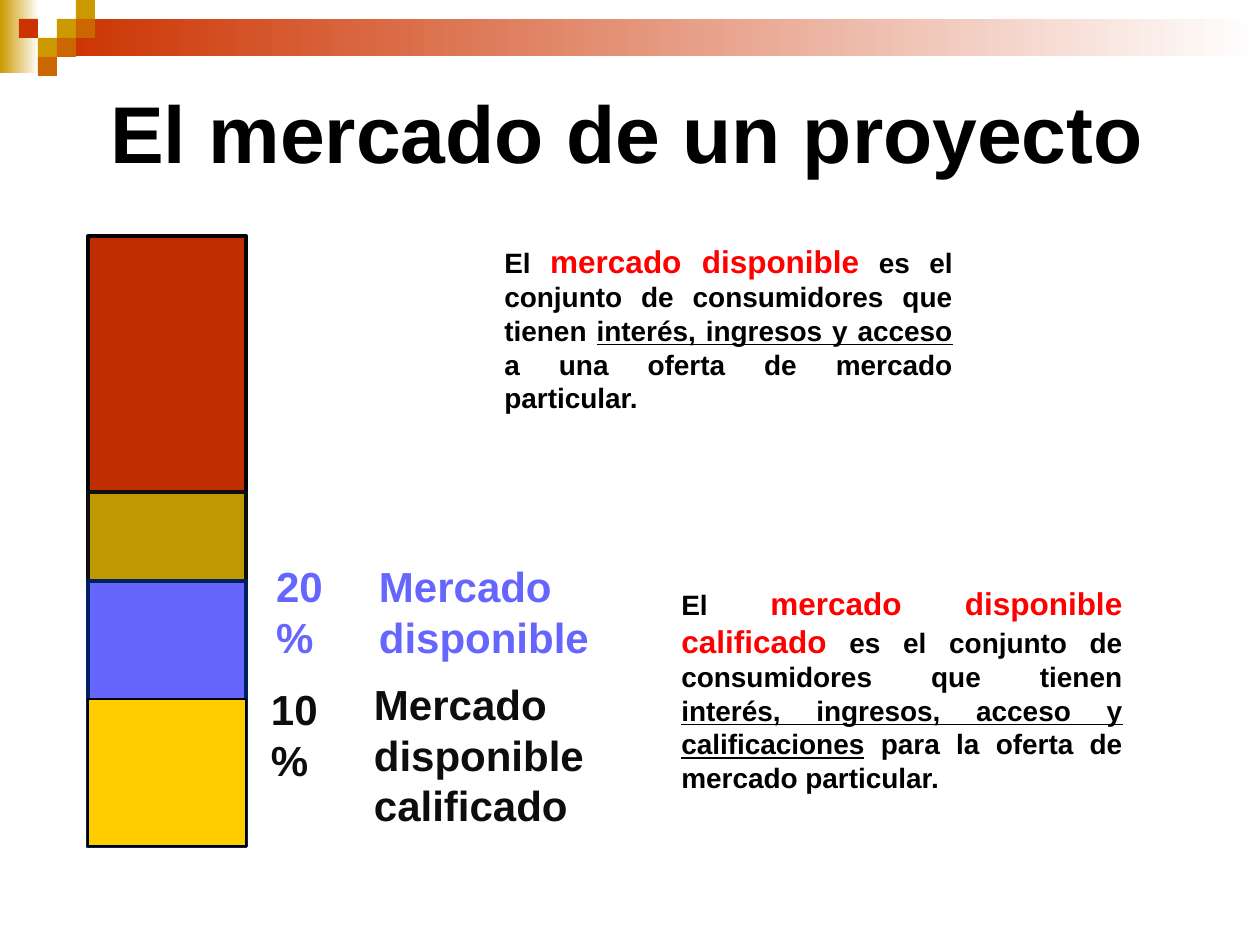
from pptx import Presentation
from pptx import util as u
from pptx.dml.color import RGBColor
from pptx.enum import shapes, text

SCALE = 914400 / 126  # EMU per px
COLORS = {
    "black": "000000", "ink": "0D0D0D", "white": "FFFFFF", "red": "FF0000",
    "brick": "CC3300", "gold": "CC9900", "rust": "CC6600",
    "total": "C02E00", "ochre": "BF9900", "blue": "6666FF",
    "navy": "002060", "yellow": "FFCC00",
}


def px(n):
    return u.Emu(round(n * SCALE))


def rgb(name):
    return RGBColor.from_string(COLORS[name])


class Deck:
    font = "Arial"

    def __init__(self, wide, high):
        self.prs = Presentation()
        self.prs.slide_width, self.prs.slide_height = px(wide), px(high)
        self.slide = self.prs.slides.add_slide(self.prs.slide_layouts[6])

    def rect(self, x, y, w, h, fill, line=None, width=0):
        box = self.slide.shapes.add_shape(
            shapes.MSO_SHAPE.RECTANGLE, px(x), px(y), px(w), px(h))
        box.shadow.inherit = False
        box.fill.solid()
        box.fill.fore_color.rgb = rgb(fill)
        if line:
            box.line.color.rgb = rgb(line)
            box.line.width = u.Pt(width)
        else:
            box.line.fill.background()
        return box

    def fade(self, x, y, w, h, start):
        fill = self.rect(x, y, w, h, start).fill
        fill.gradient()
        fill.gradient_angle = 0
        for stop, name, pos in zip(fill.gradient_stops, (start, "white"), (0, 1)):
            stop.color.rgb = rgb(name)
            stop.position = pos

    def words(self, x, y, w, h, paras, wrap=False, inset=True, align=None):
        """Each paragraph is a list of runs: (words, size, color, underline)."""
        frame = self.slide.shapes.add_textbox(px(x), px(y), px(w), px(h)).text_frame
        frame.word_wrap = wrap
        frame.auto_size = text.MSO_AUTO_SIZE.SHAPE_TO_FIT_TEXT
        if not inset:
            frame.margin_left = frame.margin_right = 0
            frame.margin_top = frame.margin_bottom = 0
        for i, runs in enumerate(paras):
            para = frame.add_paragraph() if i else frame.paragraphs[0]
            para.alignment = align
            for words, size, color, under in runs:
                run = para.add_run()
                run.text = words
                font = run.font
                font.name, font.size, font.bold = self.font, u.Pt(size), True
                font.color.rgb = rgb(color)
                if under:
                    font.underline = True

    def label(self, x, y, w, h, lines, color):
        self.words(x, y, w, h, [[(line, 24, color, False)] for line in lines],
                   inset=False)

    def define(self, x, y, w, h, term, middle, traits, end):
        runs = [("El ", 16, "black", False), (term, 18, "red", False),
                (middle, 16, "black", False), (traits, 16, "black", True),
                (end, 16, "black", False)]
        self.words(x, y, w, h, [runs], wrap=True, align=text.PP_ALIGN.JUSTIFY)


def main():
    deck = Deck(1260, 945)

    # Header band and its mosaic of squares
    deck.fade(0, 0, 39, 73, "gold")
    deck.fade(57, 19, 1203, 37, "brick")
    cell = 19
    for col, row, fill in [(3, 1, "gold"), (4, 0, "gold"), (4, 1, "rust"),
                           (2, 2, "gold"), (1, 1, "brick"), (3, 2, "rust"),
                           (2, 3, "rust")]:
        deck.rect(col * cell, row * cell, cell, cell, fill)

    # Title
    deck.words(98, 77, 1070, 111,
               [[("El mercado de un proyecto", 46, "black", False)]])

    # Market column: each part covers the lower end of the one before
    base = 846
    for top, fill, line, width in [(236, "total", "black", 2.25),
                                   (492, "ochre", "ink", 2.25),
                                   (581, "blue", "navy", 2.25),
                                   (699, "yellow", "black", 0.75)]:
        deck.rect(88, top, 158, base - top, fill, line, width)

    # Shares and their names
    deck.label(276, 561, 84, 50, ["20%"], "blue")
    deck.label(379, 561, 212, 102, ["Mercado", "disponible"], "blue")
    deck.label(271, 684, 84, 50, ["10%"], "ink")
    deck.label(374, 679, 223, 152, ["Mercado", "disponible", "calificado"], "ink")

    # Definitions
    middle = " es el conjunto de consumidores que tienen "
    deck.define(492, 236, 473, 217, "mercado disponible", middle,
                "interés, ingresos y acceso",
                " a una oferta de mercado particular.")
    deck.define(669, 578, 466, 222, "mercado disponible calificado", middle,
                "interés, ingresos, acceso y calificaciones",
                " para la oferta de mercado particular.")

    deck.prs.save("out.pptx")


if __name__ == "__main__":
    main()
